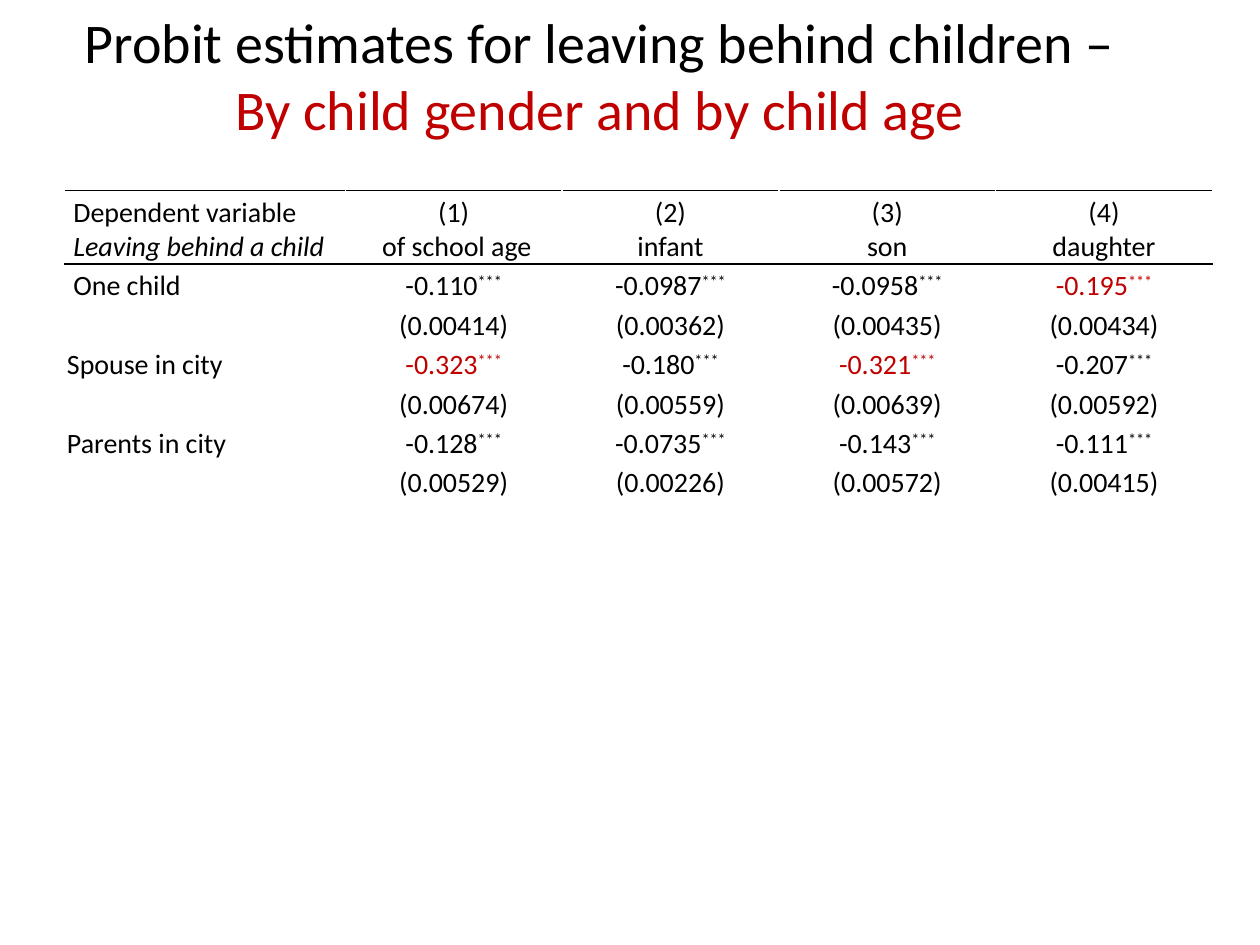
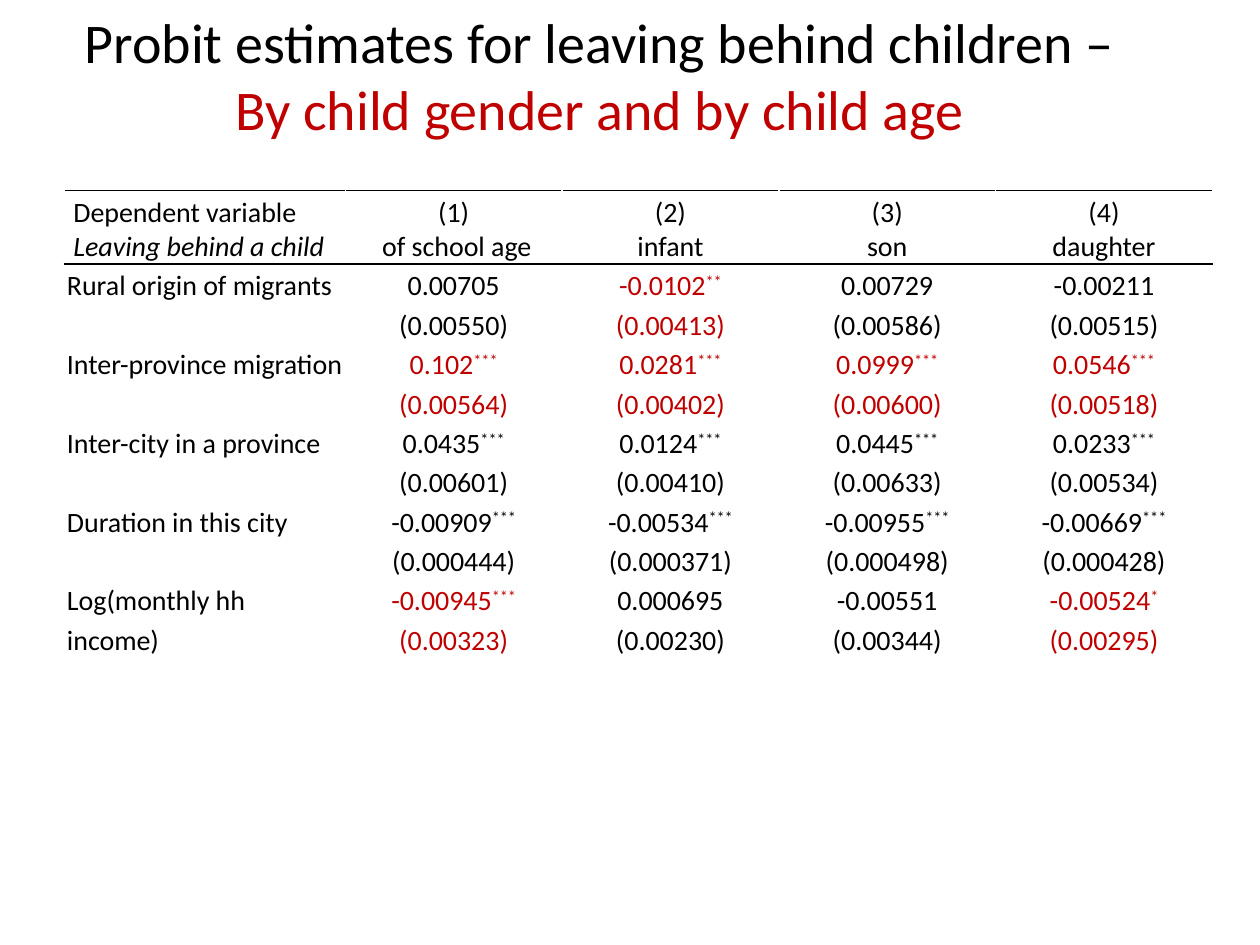
"""Build two slides of probit estimates by child gender and age."""
from dataclasses import dataclass

from lxml import etree
from pptx import Presentation
from pptx import util as u
from pptx.dml.color import RGBColor
from pptx.enum import text
from pptx.oxml import ns


@dataclass(frozen=True)
class Theme:
    """Colours, font, type sizes and insets of the deck."""
    ink: RGBColor = RGBColor(0x00, 0x00, 0x00)
    accent: RGBColor = RGBColor(0xC0, 0x00, 0x00)
    paper: RGBColor = RGBColor(0xFF, 0xFF, 0xFF)
    font: str = "Calibri"
    title_size: u.Pt = u.Pt(32)
    table_size: u.Pt = u.Pt(16)
    rule: u.Pt = u.Pt(1)
    inset: u.Cm = u.Cm(0.18)
    narrow_inset: u.Cm = u.Cm(0.05)
    leading: float = 1.15


HEADINGS = [
    ["Dependent variable", "(1)", "(2)", "(3)", "(4)"],
    ["Leaving behind a child", " of school age", "infant", "son", "daughter"],
]
FAMILY = [
    ("One child", ["-0.110***", "-0.0987***", "-0.0958***", "-0.195***"],
     ["0.00414", "0.00362", "0.00435", "0.00434"]),
    ("Spouse in city", ["-0.323***", "-0.180***", "-0.321***", "-0.207***"],
     ["0.00674", "0.00559", "0.00639", "0.00592"]),
    ("Parents in city", ["-0.128***", "-0.0735***", "-0.143***", "-0.111***"],
     ["0.00529", "0.00226", "0.00572", "0.00415"]),
]
MIGRATION = [
    ("Rural origin of migrants", ["0.00705", "-0.0102**", "0.00729", "-0.00211"],
     ["0.00550", "0.00413", "0.00586", "0.00515"]),
    ("Inter-province migration", ["0.102***", "0.0281***", "0.0999***", "0.0546***"],
     ["0.00564", "0.00402", "0.00600", "0.00518"]),
    ("Inter-city in a province", ["0.0435***", "0.0124***", "0.0445***", "0.0233***"],
     ["0.00601", "0.00410", "0.00633", "0.00534"]),
    ("Duration in this city", ["-0.00909***", "-0.00534***", "-0.00955***", "-0.00669***"],
     ["0.000444", "0.000371", "0.000498", "0.000428"]),
    ("Log(monthly hh income)", ["-0.00945***", "0.000695", "-0.00551", "-0.00524*"],
     ["0.00323", "0.00230", "0.00344", "0.00295"]),
]


class Deck:
    """Holds the theme and the current slide."""

    def __init__(self, theme):
        """Start an empty deck."""
        self.theme = theme
        self.deck = Presentation()
        self.deck.slide_width, self.deck.slide_height = u.Cm(25.4), u.Cm(19.05)
        self.slide = None

    def new_slide(self):
        """Add a slide with the shared title."""
        self.slide = self.deck.slides.add_slide(self.deck.slide_layouts[5])
        self.title("Probit estimates for leaving behind children –",
                   "By child gender and by child age")

    def run(self, paragraph, wording, size, color, italic=False, raised=False):
        """Add one styled run."""
        run = paragraph.add_run()
        run.text = wording
        run.font.name, run.font.size = self.theme.font, size
        run.font.color.rgb = color
        run.font.italic = italic
        if raised:
            run.font._element.set("baseline", "30000")

    def title(self, subject, breakdown):
        """Fill the title placeholder with a black and a red line."""
        title = self.slide.shapes.title
        title.left, title.top = u.Cm(0.79), u.Cm(0)
        title.width, title.height = u.Cm(23.65), u.Cm(3)
        frame = title.text_frame
        frame.word_wrap = True
        frame.auto_size = text.MSO_AUTO_SIZE.NONE
        frame.vertical_anchor = text.MSO_ANCHOR.MIDDLE
        first, second = frame.paragraphs[0], frame.add_paragraph()
        for line, wording, color in ((first, subject, self.theme.ink),
                                     (second, breakdown, self.theme.accent)):
            line.alignment = text.PP_ALIGN.CENTER
            line.space_before = u.Pt(0)
            self.run(line, wording, self.theme.title_size, color)
        first._p.get_or_add_pPr().set("marR", str(u.Cm(1.04)))

    def borders(self, cell, **ruled):
        """Draw white cell borders, with black ones on the ruled sides."""
        properties = cell._tc.get_or_add_tcPr()
        for side in "LRTB":
            line = etree.SubElement(properties, ns.qn(f"a:ln{side}"), w=str(self.theme.rule))
            fill = etree.SubElement(line, ns.qn("a:solidFill"))
            color = self.theme.ink if ruled.get(side) else self.theme.paper
            etree.SubElement(fill, ns.qn("a:srgbClr"), val=str(color))

    def cell(self, table, row, column, inset=None):
        """Format one cell and return its paragraph."""
        cell = table.cell(row, column)
        self.borders(cell, T=row in (0, 2), B=row == 1)
        cell.fill.solid()
        cell.fill.fore_color.rgb = self.theme.paper
        cell.margin_left = cell.margin_right = inset or self.theme.inset
        cell.margin_top = cell.margin_bottom = 0
        paragraph = cell.text_frame.paragraphs[0]
        paragraph.alignment = text.PP_ALIGN.CENTER if column else text.PP_ALIGN.LEFT
        if row != 1:
            paragraph.line_spacing = self.theme.leading
        return paragraph

    def estimate(self, paragraph, value, error, value_color, error_color):
        """Write an estimate with raised stars above its standard error."""
        size = self.theme.table_size
        number = value.rstrip("*")
        self.run(paragraph, number, size, value_color)
        if number != value:
            self.run(paragraph, value[len(number):], size, value_color, raised=True)
        paragraph.add_line_break()
        line_break = paragraph._p.findall(ns.qn("a:br"))[-1]
        etree.SubElement(line_break, ns.qn("a:rPr"), sz=str(int(size.pt * 100)))
        self.run(paragraph, f"({error})", size, error_color)

    def estimates(self, factors, highlights, red_errors=False, indented=()):
        """Add the table of estimates, with highlights given as (row, column)."""
        theme = self.theme
        heights = [u.Cm(0.75), u.Cm(0.65)] + [u.Cm(1.55)] * len(factors)
        widths = [u.Cm(5.66)] + [u.Cm(4.37)] * 4
        table = self.slide.shapes.add_table(
            len(heights), len(widths), u.Cm(1.3), u.Cm(3.84), sum(widths), sum(heights)).table
        table.first_row = table.horz_banding = False
        for column, width in zip(table.columns, widths):
            column.width = width
        for row, height in zip(table.rows, heights):
            row.height = height

        for row, headings in enumerate(HEADINGS):
            for column, heading in enumerate(headings):
                self.run(self.cell(table, row, column), heading, theme.table_size,
                         theme.ink, italic=(row, column) == (1, 0))

        for index, (factor, values, errors) in enumerate(factors):
            row = index + len(HEADINGS)
            inset = theme.inset if index in indented else theme.narrow_inset
            self.run(self.cell(table, row, 0, inset), factor, theme.table_size, theme.ink)
            for column, (value, error) in enumerate(zip(values, errors), start=1):
                color = theme.accent if (index, column) in highlights else theme.ink
                self.estimate(self.cell(table, row, column), value, error, color,
                              color if red_errors else theme.ink)

    def save(self):
        """Save the deck."""
        self.deck.save("out.pptx")


def main():
    """Build both slides."""
    deck = Deck(Theme())
    deck.new_slide()
    deck.estimates(FAMILY, {(0, 4), (1, 1), (1, 3)}, indented=(0,))
    deck.new_slide()
    deck.estimates(MIGRATION, {(0, 2), (1, 1), (1, 2), (1, 3), (1, 4), (4, 1), (4, 4)},
                   red_errors=True)
    deck.save()


if __name__ == "__main__":
    main()
